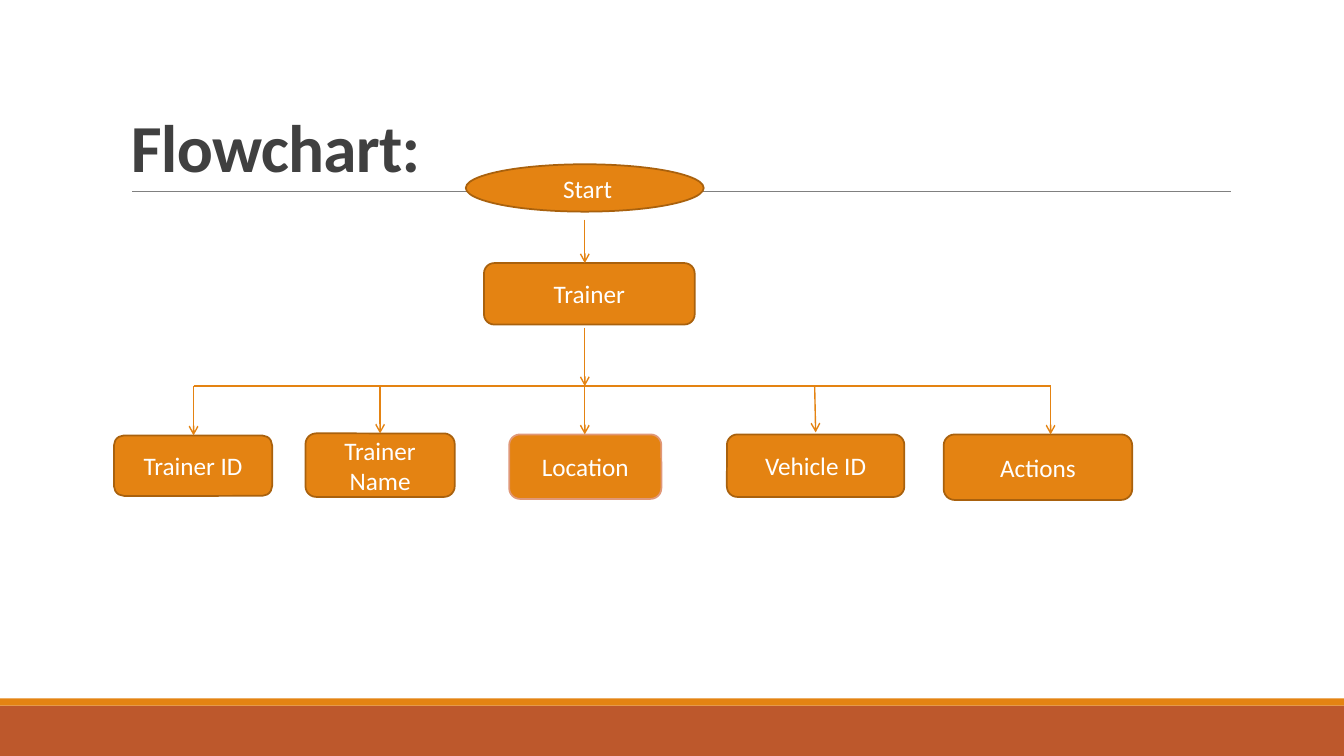
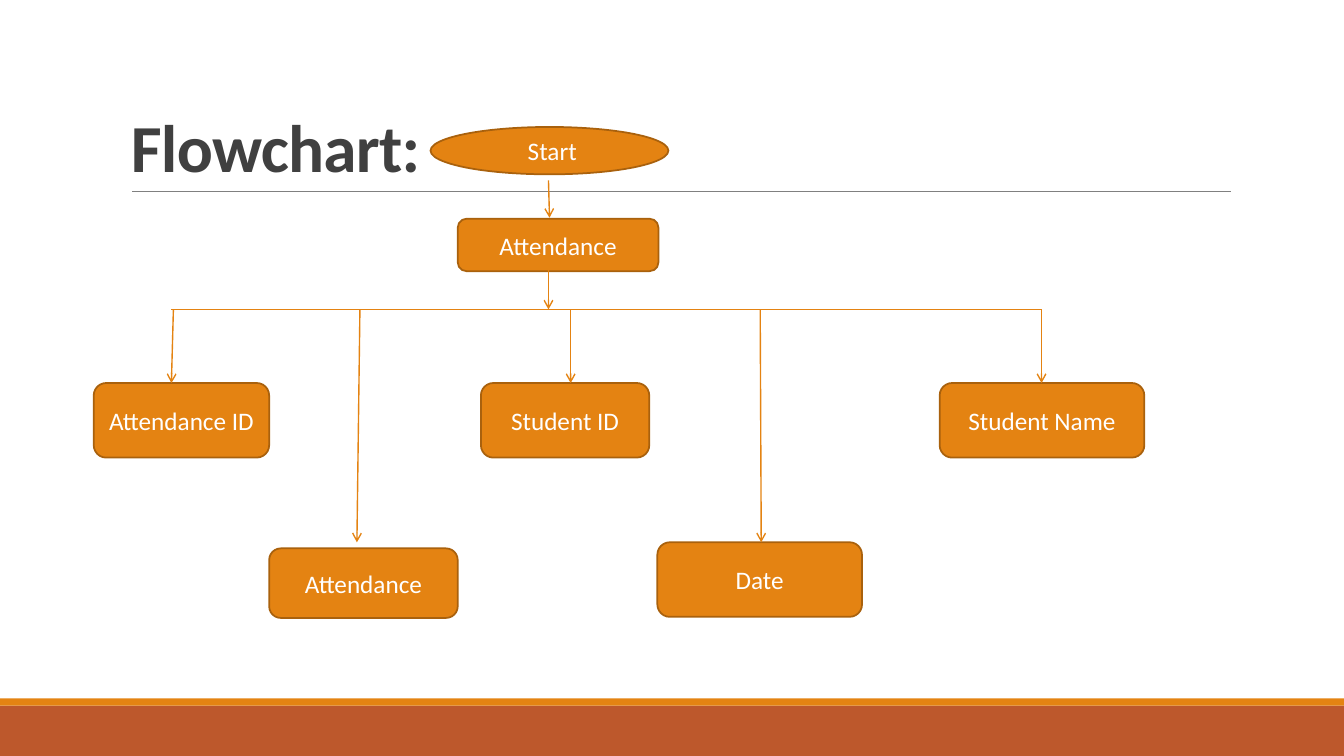
"""Build two flowchart slides that share a title, a rule and footer bands."""
import pptx
import pptx.dml.color
import pptx.enum.shapes
import pptx.enum.text
import pptx.oxml
import pptx.oxml.ns
import pptx.util
from dataclasses import dataclass

Inches = pptx.util.Inches
Pt = pptx.util.Pt
RGB = pptx.dml.color.RGBColor.from_string
SHAPE = pptx.enum.shapes.MSO_SHAPE
ALIGN = pptx.enum.text.PP_ALIGN
ANCHOR = pptx.enum.text.MSO_ANCHOR


@dataclass(frozen=True)
class Theme:
    font: str = "Calibri"
    accent: str = "E48312"
    outline: str = "A9610D"
    pale_outline: str = "E09878"
    band: str = "BD582C"
    rule: str = "808080"
    title: str = "404040"
    node_text: str = "FFFFFF"
    title_size: float = 48
    node_size: float = 18
    outline_width: float = 1.25
    arrow_width: float = 1
    rule_width: float = 0.5


theme = Theme()


def write(sp, text, size=theme.node_size, color=theme.node_text, bold=False,
          align=ALIGN.CENTER, anchor=ANCHOR.MIDDLE, leading=None, tracking=None):
    tf = sp.text_frame
    tf.word_wrap = True
    tf.vertical_anchor = anchor
    p = tf.paragraphs[0]
    p.alignment = align
    p.line_spacing = leading
    r = p.add_run()
    r.text = text
    r.font.name = theme.font
    r.font.size = Pt(size)
    r.font.bold = bold
    r.font.color.rgb = RGB(color)
    if tracking is not None:
        r._r.get_or_add_rPr().set("spc", str(round(tracking * 100)))


def draw_line(s, x1, y1, x2, y2, color=theme.accent, width=theme.arrow_width, arrow=True):
    cx = s.shapes.add_connector(pptx.enum.shapes.MSO_CONNECTOR.STRAIGHT,
                                Inches(x1), Inches(y1), Inches(x2), Inches(y2))
    cx.line.color.rgb = RGB(color)
    cx.line.width = Pt(width)
    if arrow:
        ln = cx.line._get_or_add_ln()
        ln.append(pptx.oxml.parse_xml(
            f'<a:tailEnd {pptx.oxml.ns.nsdecls("a")} type="arrow"/>'))
    cx._element.spPr.append(pptx.oxml.parse_xml(
        f'<a:effectLst {pptx.oxml.ns.nsdecls("a")}/>'))


bands = [
    (7, 0.5, theme.band),
    (6.93, 0.07, theme.accent),
]

charts = [
    {
        "start": (4.62, 1.63, 2.36, 0.47),
        "boxes": [
            ("Trainer", 4.8, 2.61, 2.09, 0.61),
            ("Trainer ID", 1.13, 4.32, 1.57, 0.6),
            ("Trainer Name", 3.03, 4.3, 1.48, 0.63),
            ("Location", 5.05, 4.31, 1.51, 0.64),
            ("Vehicle ID", 7.21, 4.31, 1.76, 0.62),
            ("Actions", 9.36, 4.31, 1.87, 0.65),
        ],
        "pale": "Location",
        "trunk": [(5.8, 2.18, 5.8, 2.61), (5.8, 3.25, 5.8, 3.83)],
        "bus": (1.92, 10.42, 3.83),
        "branches": [(1.92, 1.92, 4.32), (3.77, 3.77, 4.3), (5.8, 5.8, 4.31),
                     (8.08, 8.09, 4.29), (10.42, 10.42, 4.31)],
    },
    {
        "start": (4.27, 1.26, 2.36, 0.47),
        "boxes": [
            ("Attendance", 4.54, 2.17, 1.99, 0.52),
            ("Attendance ID", 0.93, 3.8, 1.74, 0.74),
            ("Attendance", 2.67, 5.44, 1.87, 0.69),
            ("Student ID", 4.77, 3.8, 1.67, 0.74),
            ("Date", 6.52, 5.38, 2.03, 0.74),
            ("Student Name", 9.32, 3.8, 2.03, 0.74),
        ],
        "pale": None,
        "trunk": [(5.44, 1.79, 5.45, 2.16), (5.44, 2.68, 5.44, 3.07)],
        "bus": (1.7, 10.33, 3.07),
        "branches": [(1.72, 1.7, 3.8), (3.57, 3.54, 5.38), (5.66, 5.66, 3.8),
                     (7.54, 7.55, 5.38), (10.33, 10.33, 3.8)],
    },
]

prs = pptx.Presentation()
prs.slide_width = Inches(13.33)
prs.slide_height = Inches(7.5)

for chart in charts:
    s = prs.slides.add_slide(prs.slide_layouts[6])

    for top, height, color in bands:
        sp = s.shapes.add_shape(SHAPE.RECTANGLE, 0, Inches(top),
                                prs.slide_width, Inches(height))
        sp.shadow.inherit = False
        sp.fill.solid()
        sp.fill.fore_color.rgb = RGB(color)
        sp.line.fill.background()
    draw_line(s, 1.31, 1.9, 12.21, 1.9, color=theme.rule,
              width=theme.rule_width, arrow=False)

    title = s.shapes.add_textbox(Inches(1.2), Inches(0.31), Inches(11), Inches(1.59))
    write(title, "Flowchart:", size=theme.title_size, color=theme.title, bold=True,
          align=ALIGN.LEFT, anchor=ANCHOR.BOTTOM, leading=0.85, tracking=-0.5)

    nodes = [(SHAPE.OVAL, " Start", *chart["start"])]
    nodes += [(SHAPE.ROUNDED_RECTANGLE, *box) for box in chart["boxes"]]
    for kind, text, *frame in nodes:
        sp = s.shapes.add_shape(kind, *map(Inches, frame))
        sp.shadow.inherit = False
        sp.fill.solid()
        sp.fill.fore_color.rgb = RGB(theme.accent)
        outline = theme.pale_outline if text == chart["pale"] else theme.outline
        sp.line.color.rgb = RGB(outline)
        sp.line.width = Pt(theme.outline_width)
        write(sp, text)

    for ends in chart["trunk"]:
        draw_line(s, *ends)
    left, right, bus_y = chart["bus"]
    draw_line(s, left, bus_y, right, bus_y, arrow=False)
    for x1, x2, bottom in chart["branches"]:
        draw_line(s, x1, bus_y, x2, bottom)

prs.save("out.pptx")
